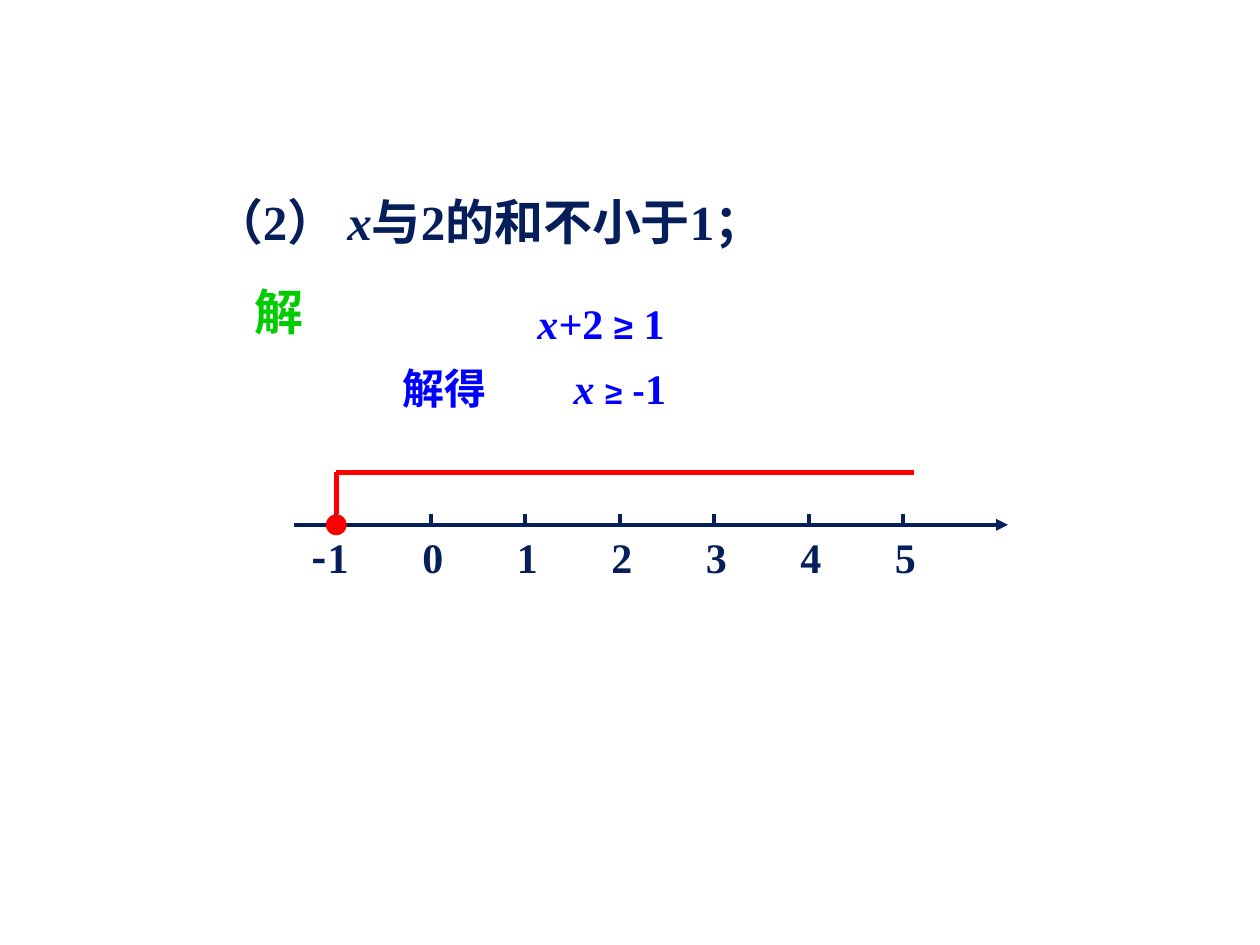
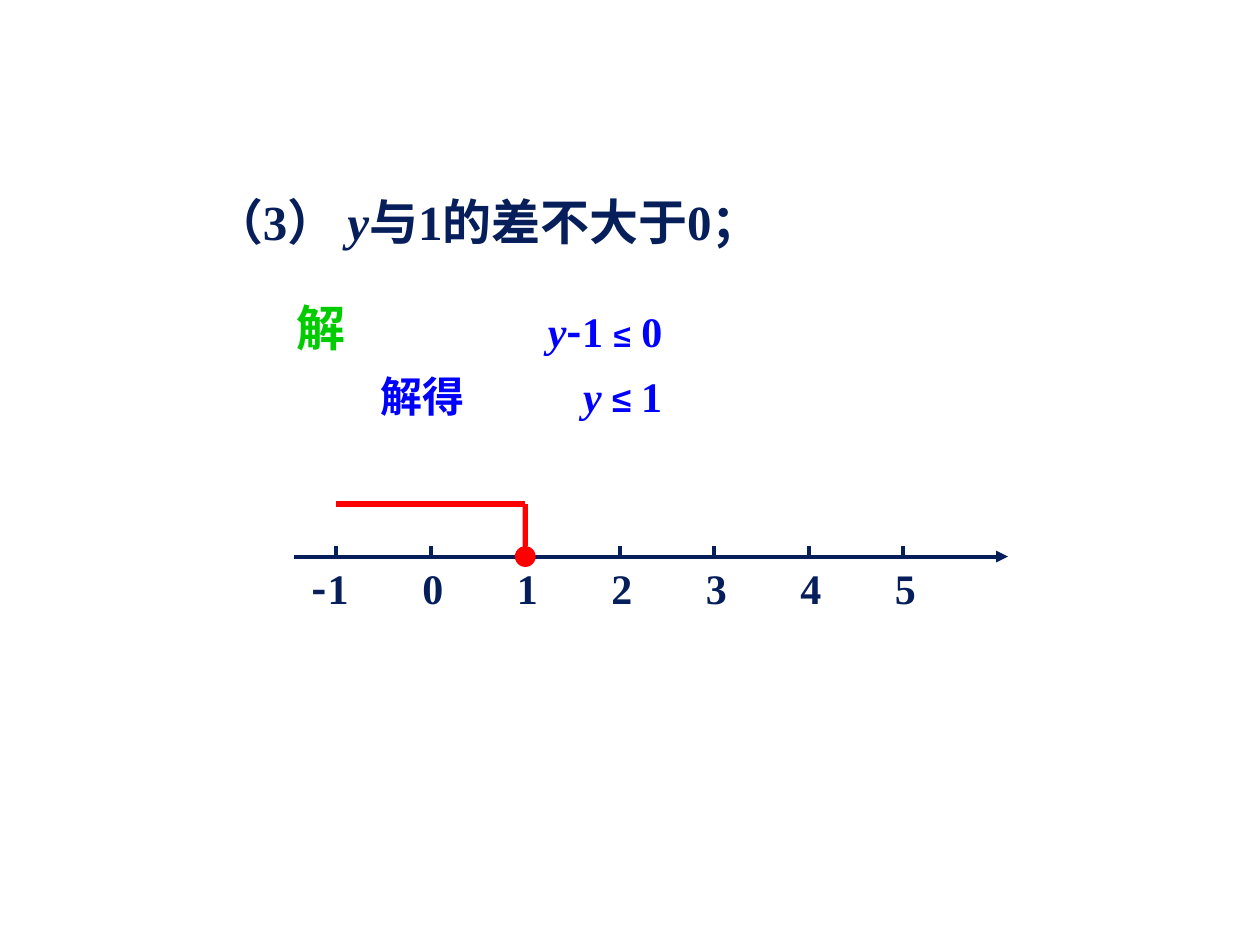
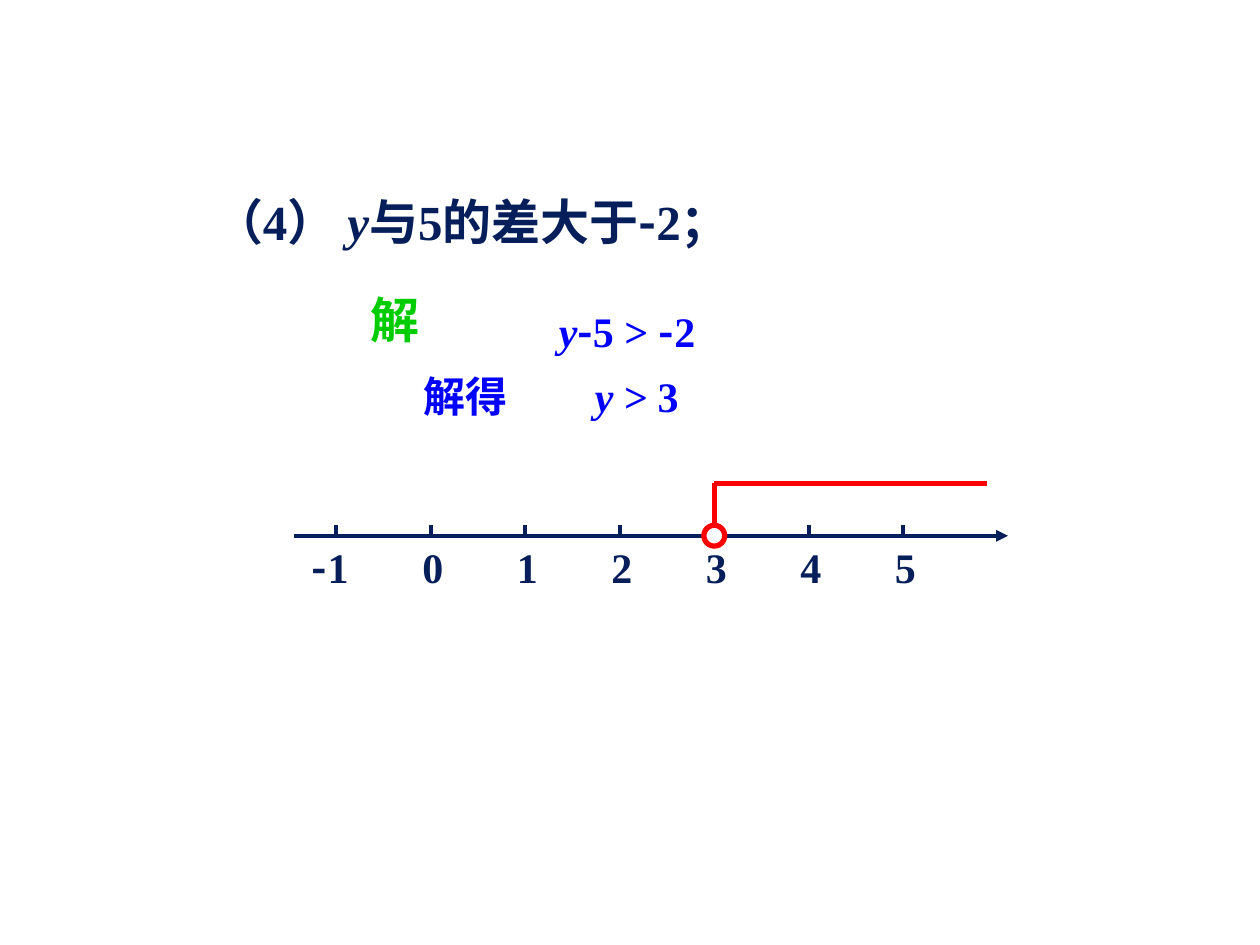
from dataclasses import dataclass

from lxml import etree
from pptx import Presentation
from pptx.dml.color import RGBColor
from pptx.enum import shapes, text
from pptx.oxml import ns
from pptx.util import Cm, Pt


@dataclass(frozen=True)
class Theme:
    navy: str = "061F5B"
    blue: str = "0000FF"
    green: str = "00CC00"
    red: str = "FF0000"
    white: str = "FFFFFF"
    serif: str = "Times New Roman"
    sans: str = "Arial"
    chinese: str = "Noto Sans CJK SC"
    large: int = 28
    medium: int = 24
    small: int = 20
    tiny: int = 18
    axis_line: float = 2.25
    solution_line: float = 3


THEME = Theme()


@dataclass(frozen=True)
class Box:
    """A region of the slide, in centimetres."""
    left: float
    top: float
    width: float
    height: float

    def lengths(self):
        return [Cm(side) for side in (self.left, self.top, self.width, self.height)]


@dataclass(frozen=True)
class Part:
    """A piece of text in one font."""
    text: str
    font: str = THEME.serif
    size: int = 0  # 0 takes the size of the paragraph
    italic: bool = False


def variable(letters):
    return Part(letters, italic=True)


MINUS = Part("-", THEME.chinese)
SEMICOLON = Part("；", THEME.chinese)

# Number line measures, in centimetres
VALUES = range(-1, 6)
FIRST_TICK, TICK_SPAN = 0.85, 11.43
TICK_STEP = TICK_SPAN / (len(VALUES) - 1)
TICK_HEIGHT, DOT_SIZE, RAY_HEIGHT = 0.21, 0.42, 1.06
AXIS_LEFT, AXIS_WIDTH = 5.93, 14.39

# Working steps: the line pitch, and where the result's lead-in starts
STEP_SPACING, STEP_PITCH, LEAD_IN_OFFSET = 1.3, 1.32, 1.51

TITLE_BOX = Box(2.74, 3.61, 22.23, 1.57)


# Text helpers
def rgb(color):
    return RGBColor.from_string(color)


def sub_element(parent, tag, **attributes):
    return etree.SubElement(parent, ns.qn(tag), **attributes)


def place(shape, box):
    shape.left, shape.top, shape.width, shape.height = box.lengths()


def prepare_frame(shape, wrap=True):
    frame = shape.text_frame
    frame.auto_size = text.MSO_AUTO_SIZE.NONE
    frame.vertical_anchor = text.MSO_ANCHOR.TOP
    frame.word_wrap = wrap
    return frame


def write_parts(paragraph, parts, size, color):
    for part in parts:
        run = paragraph.add_run()
        run.text = part.text
        font = run.font
        font.name, font.size = part.font, Pt(part.size or size)
        font.bold, font.italic = True, part.italic
        font.color.rgb = rgb(color)
        sub_element(run._r.get_or_add_rPr(), "a:ea", typeface=THEME.chinese)


def format_paragraph(paragraph, margin, spacing):
    properties = paragraph._p.get_or_add_pPr()
    properties.set("marL", str(Cm(margin)))
    properties.set("indent", "0")
    sub_element(properties, "a:buNone")
    paragraph.alignment = text.PP_ALIGN.LEFT
    paragraph.line_spacing = spacing
    paragraph.space_before = Pt(0)


def add_label(slide, box, parts, size, color, wrap=True, spacing=1.0):
    frame = prepare_frame(slide.shapes.add_textbox(*box.lengths()), wrap)
    paragraph = frame.paragraphs[0]
    paragraph.line_spacing = spacing
    write_parts(paragraph, parts, size, color)


def add_line(slide, start, end, color, width, arrow=False):
    connector = slide.shapes.add_connector(
        shapes.MSO_CONNECTOR.STRAIGHT, *[Cm(value) for value in (*start, *end)])
    connector.line.color.rgb = rgb(color)
    connector.line.width = Pt(width)
    if arrow:
        sub_element(connector.line._get_or_add_ln(), "a:tailEnd", type="triangle")
    sub_element(connector._element.spPr, "a:effectLst")
    return connector


# Regions
def fill_title(slide, box, parts):
    title = slide.shapes.title
    place(title, box)
    paragraph = prepare_frame(title).paragraphs[0]
    format_paragraph(paragraph, margin=1.32, spacing=1.1)
    write_parts(paragraph, parts, THEME.large, THEME.navy)


def fill_steps(slide, box, steps):
    """Each step is its left margin and its parts; the last one has a lead-in."""
    body = slide.placeholders[1]
    place(body, box)
    frame = prepare_frame(body)
    for index, (margin, parts) in enumerate(steps):
        paragraph = frame.add_paragraph() if index else frame.paragraphs[0]
        format_paragraph(paragraph, margin, STEP_SPACING)
        write_parts(paragraph, parts, THEME.medium, THEME.blue)
    lead_in_box = Box(box.left + LEAD_IN_OFFSET,
                      box.top + (len(steps) - 1) * STEP_PITCH, 2.6, 1.58)
    add_label(slide, lead_in_box, [Part("解得")], THEME.medium, THEME.blue,
              spacing=STEP_SPACING)


def value_x(box, value):
    return box.left + FIRST_TICK + (value - VALUES[0]) * TICK_STEP


def add_number_line(slide, box):
    """The axis runs along the top of the box, with the labels below it."""
    add_line(slide, (box.left, box.top), (box.left + box.width, box.top),
             THEME.navy, THEME.axis_line, arrow=True)
    for value in VALUES:
        x = value_x(box, value)
        add_line(slide, (x, box.top - TICK_HEIGHT), (x, box.top),
                 THEME.navy, THEME.axis_line)
        parts = [Part(str(abs(value)))]
        shift, width = 0.42, 1.9
        if value < 0:
            parts.insert(0, MINUS)
            shift, width = 0.74, 2.21
        add_label(slide, Box(x - shift, box.top, width, box.height),
                  parts, THEME.medium, THEME.navy)


def add_solution_ray(slide, box, start, end, closed):
    """Dot at the boundary value, a riser and a ray towards the end value."""
    x, ray_y = value_x(box, start), box.top - RAY_HEIGHT
    dot_box = Box(x - DOT_SIZE / 2, box.top - DOT_SIZE / 2, DOT_SIZE, DOT_SIZE)
    dot = slide.shapes.add_shape(shapes.MSO_SHAPE.OVAL, *dot_box.lengths())
    dot.shadow.inherit = False
    dot.fill.solid()
    dot.fill.fore_color.rgb = rgb(THEME.red if closed else THEME.white)
    if closed:
        dot.line.fill.background()
    else:
        dot.line.color.rgb = rgb(THEME.red)
        dot.line.width = Pt(THEME.solution_line)
    riser = add_line(slide, (x, dot_box.top), (x, ray_y),
                     THEME.red, THEME.solution_line)
    riser.begin_connect(dot, 0)
    add_line(slide, (value_x(box, end), ray_y), (x, ray_y),
             THEME.red, THEME.solution_line)


def add_exercise(presentation, title, label_at, steps_at, steps, axis_y, ray):
    slide = presentation.slides.add_slide(presentation.slide_layouts[1])
    fill_title(slide, TITLE_BOX, title)
    fill_steps(slide, Box(*steps_at, 16.94, 2.9), steps)
    add_label(slide, Box(*label_at, 1.5, 1.45), [Part("解")],
              THEME.large, THEME.green, wrap=False)
    axis_box = Box(AXIS_LEFT, axis_y, AXIS_WIDTH, 1.27)
    add_number_line(slide, axis_box)
    add_solution_ray(slide, axis_box, *ray)


EXERCISES = [
    dict(
        title=[Part("（2） "), variable("x"), Part("与2的和不小于1"), SEMICOLON],
        label_at=(4.88, 5.56), steps_at=(6.35, 5.56),
        steps=[
            (4.23, [variable("x+"), Part("2 "),
                    Part("≥", THEME.sans, THEME.small), variable(" "), Part("1")]),
            (4.96, [variable("x "), Part("≥", THEME.sans, THEME.tiny),
                    Part(" ", THEME.sans, THEME.small),
                    Part("-", THEME.chinese, THEME.small), Part("1")]),
        ],
        axis_y=10.58, ray=(-1, 5.11, True)),
    dict(
        title=[Part("（3） "), variable("y"), Part("与1的差不大于0"), SEMICOLON],
        label_at=(5.72, 5.87), steps_at=(5.92, 5.72),
        steps=[
            (4.87, [variable("y"), MINUS, Part("1 "),
                    Part("≤", THEME.sans, THEME.tiny), variable(" "), Part("0")]),
            (5.58, [variable("y "), Part("≤ ", THEME.sans, THEME.small),
                    Part("1")]),
        ],
        axis_y=11.22, ray=(1, -1, True)),
    dict(
        title=[Part("（4） "), variable("y"), Part("与5的差大于"), MINUS,
               Part("2"), SEMICOLON],
        label_at=(7.21, 5.72), steps_at=(6.78, 5.72),
        steps=[
            (4.23, [variable("y"), MINUS, Part("5 > "), MINUS, Part("2")]),
            (4.96, [variable("y "), Part(">"),
                    Part(" ", THEME.sans, THEME.small), Part("3")]),
        ],
        axis_y=10.8, ray=(3, 5.89, False)),
]


def main():
    presentation = Presentation()
    presentation.slide_width, presentation.slide_height = Cm(25.4), Cm(19.05)
    for exercise in EXERCISES:
        add_exercise(presentation, **exercise)
    presentation.save("out.pptx")


if __name__ == "__main__":
    main()
